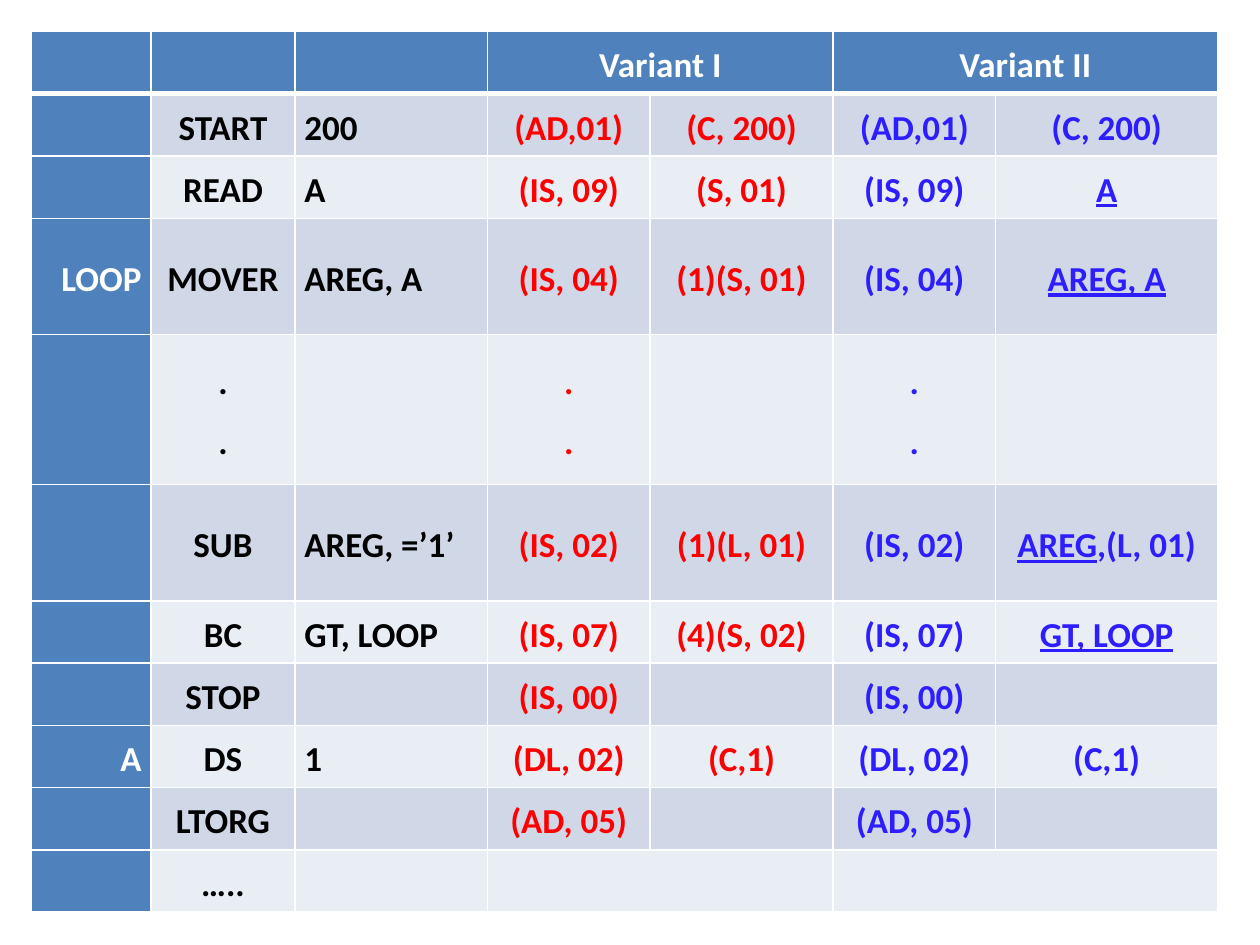
"""Build a slide comparing two intermediate code variants of an assembly program."""
from lxml import etree
from pptx import Presentation
from pptx.dml.color import RGBColor
from pptx.enum.text import MSO_ANCHOR, PP_ALIGN
from pptx.oxml.ns import qn
from pptx.util import Pt

CENTER, RIGHT, JUSTIFY = PP_ALIGN.CENTER, PP_ALIGN.RIGHT, PP_ALIGN.JUSTIFY
MIDDLE = MSO_ANCHOR.MIDDLE

WHITE, BLACK, RED, VIOLET = "FFFFFF", "000000", "FF0000", "2D1DFF"
HEADER, BANDS = "4F81BD", ("E9EDF4", "D0D8E8")

# A tuple holds underlined text followed by plain text.
ROWS = [
    ["", "", "", "Variant I", "", "Variant II", ""],
    ["", "START", "200", "(AD,01)", "(C, 200)", "(AD,01)", "(C, 200)"],
    ["", "READ", "A", "(IS, 09)", "(S, 01)", "(IS, 09)", ("A", "")],
    ["LOOP", "MOVER", "AREG, A", "(IS, 04)", "(1)(S, 01)", "(IS, 04)", ("AREG, A", "")],
    ["", ".\n.", "", ".\n.", "", ".\n.", ""],
    ["", "SUB", "AREG, =’1’", "(IS, 02)", "(1)(L, 01)", "(IS, 02)", ("AREG", ",(L, 01)")],
    ["", "BC", "GT, LOOP", "(IS, 07)", "(4)(S, 02)", "(IS, 07)", ("GT, LOOP", "")],
    ["", "STOP", "", "(IS, 00)", "", "(IS, 00)", ""],
    ["A", "DS", "1", "(DL, 02)", "(C,1)", "(DL, 02)", "(C,1)"],
    ["", "LTORG", "", "(AD, 05)", "", "(AD, 05)", ""],
    ["", "…..", "", "", "", "", ""],
]
COLUMNS = [
    (68.3, RIGHT, WHITE),
    (82.3, CENTER, BLACK),
    (110, JUSTIFY, BLACK),
    (92.9, CENTER, RED),
    (104.6, CENTER, RED),
    (92.9, CENTER, VIOLET),
    (126.9, CENTER, VIOLET),
]
ROW_HEIGHT = 35.6
TALL_ROWS = {3: 66.5, 4: 85.7, 5: 66.5}
MERGED = [(row, column) for row in (0, len(ROWS) - 1) for column in (3, 5)]

CELL_FORMAT = {"vertical_anchor": MIDDLE, "margin_left": Pt(5.4),
               "margin_right": Pt(5.4), "margin_top": 0, "margin_bottom": 0}
PARAGRAPH_FORMAT = {"line_spacing": 1.15, "space_before": Pt(3), "space_after": Pt(3)}
FONT_FORMAT = {"name": "Calibri", "size": Pt(20), "bold": True}


def apply(target, values):
    """Set each attribute of the target."""
    for name, value in values.items():
        setattr(target, name, value)


def color(value):
    """Turn a hex string into a colour."""
    return RGBColor.from_string(value)


def add_borders(cell, row):
    """Draw white cell borders, thicker below the header row."""
    widths = {"lnL": 1, "lnR": 1, "lnT": 3 if row == 1 else 1, "lnB": 3 if row == 0 else 1}
    properties = cell._tc.get_or_add_tcPr()
    for side, width in widths.items():
        line = etree.SubElement(properties, qn(f"a:{side}"), w=str(Pt(width)))
        fill = etree.SubElement(line, qn("a:solidFill"))
        etree.SubElement(fill, qn("a:srgbClr"), val=WHITE)


def write(cell, content, align, text_color):
    """Write the content, one paragraph per line."""
    underlined, plain = content if isinstance(content, tuple) else ("", content)
    frame = cell.text_frame
    for index, line in enumerate(plain.split("\n")):
        para = frame.add_paragraph() if index else frame.paragraphs[0]
        apply(para, {**PARAGRAPH_FORMAT, "alignment": align})
        if not index:
            para.space_before = Pt(0)
        for text, underline in ((underlined, True), (line, None)):
            if text:
                span = para.add_run()
                span.text = text
                apply(span.font, {**FONT_FORMAT, "underline": underline})
                span.font.color.rgb = color(text_color)


def main():
    """Create the deck and save it."""
    deck = Presentation()
    apply(deck, {"slide_width": Pt(720), "slide_height": Pt(540)})
    page = deck.slides.add_slide(deck.slide_layouts[6])
    heights = [TALL_ROWS.get(row, ROW_HEIGHT) for row in range(len(ROWS))]
    total_width = sum(width for width, _, _ in COLUMNS)
    table = page.shapes.add_table(len(ROWS), len(COLUMNS), Pt(18), Pt(18),
                                  Pt(total_width), Pt(sum(heights))).table
    for column, (width, _, _) in enumerate(COLUMNS):
        table.columns[column].width = Pt(width)
    for row, contents in enumerate(ROWS):
        table.rows[row].height = Pt(heights[row])
        for column, content in enumerate(contents):
            _, align, text_color = COLUMNS[column]
            cell = table.cell(row, column)
            apply(cell, CELL_FORMAT)
            add_borders(cell, row)
            cell.fill.solid()
            is_header = row == 0 or column == 0
            cell.fill.fore_color.rgb = color(HEADER if is_header else BANDS[row % 2])
            if content:
                write(cell, content, align, WHITE if is_header else text_color)
    for row, column in MERGED:
        table.cell(row, column).merge(table.cell(row, column + 1))
    deck.save("out.pptx")


if __name__ == "__main__":
    main()
